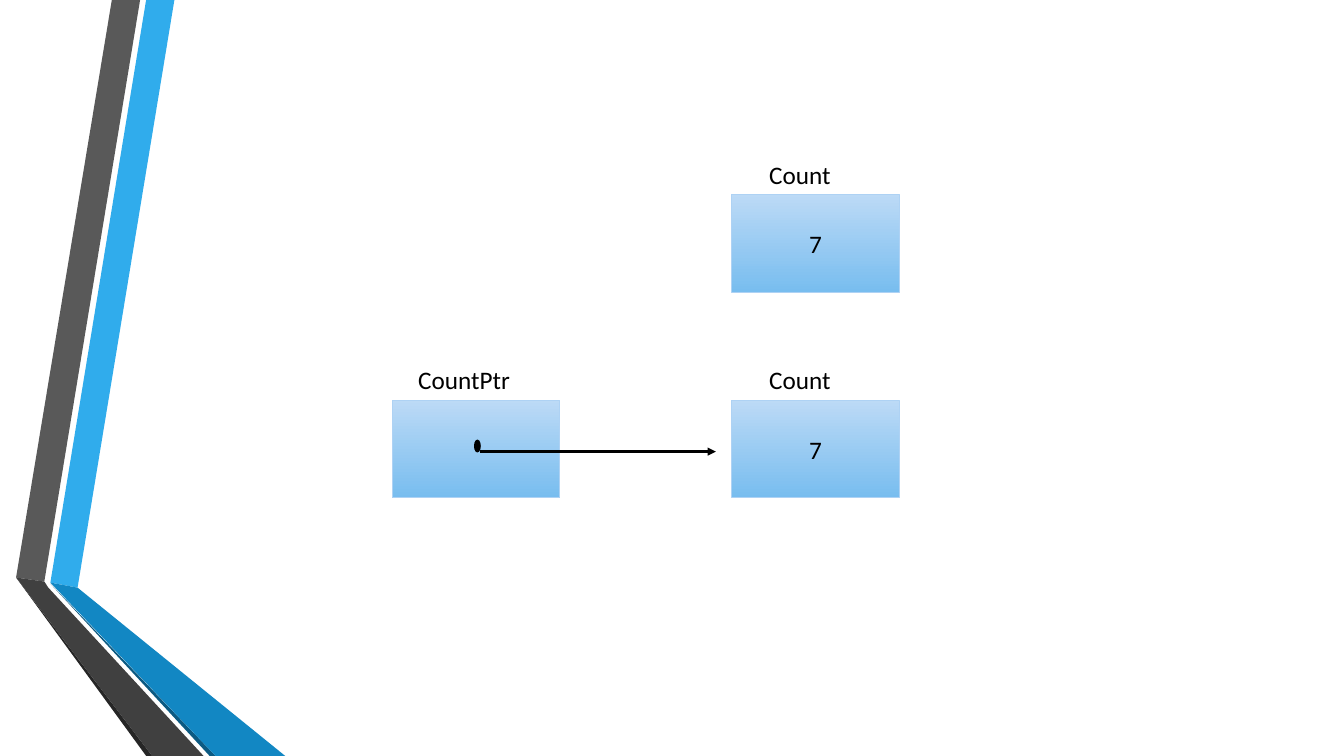
from lxml import etree
from pptx import Presentation
from pptx.dml.color import RGBColor
from pptx.enum.shapes import MSO_CONNECTOR, MSO_SHAPE
from pptx.enum.text import MSO_ANCHOR, MSO_AUTO_SIZE, PP_ALIGN
from pptx.oxml.ns import qn
from pptx.util import Inches, Pt

RECT, OVAL = MSO_SHAPE.RECTANGLE, MSO_SHAPE.OVAL
STRAIGHT = MSO_CONNECTOR.STRAIGHT
MIDDLE = MSO_ANCHOR.MIDDLE
GROW = MSO_AUTO_SIZE.SHAPE_TO_FIT_TEXT
CENTER, LEFT = PP_ALIGN.CENTER, PP_ALIGN.LEFT

BLACK = RGBColor(0x00, 0x00, 0x00)
BOX_TOP = RGBColor(0xBC, 0xDA, 0xF6)
BOX_BOTTOM = RGBColor(0x78, 0xBD, 0xEF)
BOX_LINE = RGBColor(0xAE, 0xD2, 0xF4)
SKY = RGBColor(0x30, 0xAC, 0xEC)
BLUE = RGBColor(0x12, 0x87, 0xC3)
NAVY = RGBColor(0x0C, 0x5A, 0x82)
GRAY = RGBColor(0x59, 0x59, 0x59)
DARK_GRAY = RGBColor(0x40, 0x40, 0x40)
CHARCOAL = RGBColor(0x26, 0x26, 0x26)

RIBBONS = [
    (SKY, [(0.5, 5.78), (0.77, 5.83), (1.73, 0), (1.45, 0)]),
    (GRAY, [(1.39, 0), (1.11, 0), (0.16, 5.73), (0.44, 5.77)]),
    (CHARCOAL, [(0.16, 5.73), (1.45, 7.5), (1.51, 7.5)]),
    (NAVY, [(0.5, 5.79), (2.08, 7.5), (2.14, 7.5)]),
    (BLUE, [(0.5, 5.78), (2.14, 7.5), (2.83, 7.5), (0.77, 5.83)]),
    (DARK_GRAY, [(2.02, 7.5), (0.48, 5.83), (0.44, 5.77), (0.16, 5.73), (1.51, 7.5)]),
]

COUNT_X, POINTER_X = 7.26, 3.89
UPPER_Y, LOWER_Y = 1.93, 3.97
BOX_W, BOX_H = 1.66, 0.97
LABEL_H = 0.4
ARROW_Y = 4.48


class Diagram:
    """Draws memory boxes, labels and pointers on one slide."""

    font, size = "Calibri", Pt(18)

    def __init__(self, slide):
        self.shapes = slide.shapes

    def set_text(self, sp, text, align):
        p = sp.text_frame.paragraphs[0]
        p.text = text
        p.alignment = align
        p.font.name, p.font.size = self.font, self.size
        p.font.color.rgb = BLACK

    def ribbon(self, color, points):
        pts = [(Inches(x), Inches(y)) for x, y in points]
        builder = self.shapes.build_freeform(*pts[0])
        builder.add_line_segments(pts[1:], close=True)
        sp = builder.convert_to_shape()
        sp.shadow.inherit = False
        sp.fill.solid()
        sp.fill.fore_color.rgb = color
        sp.line.fill.background()

    def preset(self, kind, x, y, w, h, line, width):
        sp = self.shapes.add_shape(kind, Inches(x), Inches(y), Inches(w), Inches(h))
        sp.shadow.inherit = False
        sp.line.color.rgb = line
        sp.line.width = Pt(width)
        return sp

    def box(self, x, y, value=""):
        sp = self.preset(RECT, x, y, BOX_W, BOX_H, BOX_LINE, 0.75)
        sp.fill.gradient()
        sp.fill.gradient_angle = 270
        for stop, color in zip(sp.fill.gradient_stops, (BOX_TOP, BOX_BOTTOM)):
            stop.color.rgb = color
        if value:
            sp.text_frame.vertical_anchor = MIDDLE
            self.set_text(sp, value, CENTER)

    def dot(self, x, y, w, h):
        sp = self.preset(OVAL, x, y, w, h, BLACK, 1.25)
        sp.fill.solid()
        sp.fill.fore_color.rgb = BLACK

    def arrow(self, x1, x2, y):
        cx = self.shapes.add_connector(STRAIGHT, Inches(x1), Inches(y), Inches(x2), Inches(y))
        cx.line.color.rgb = BLACK
        cx.line.width = Pt(1.75)
        props = cx.element.spPr
        etree.SubElement(props.find(qn("a:ln")), qn("a:tailEnd"), type="triangle")
        etree.SubElement(props, qn("a:effectLst"))

    def label(self, x, box_y, w, text):
        sp = self.shapes.add_textbox(Inches(x), Inches(box_y - LABEL_H), Inches(w), Inches(LABEL_H))
        sp.text_frame.word_wrap = True
        sp.text_frame.auto_size = GROW
        self.set_text(sp, text, LEFT)


def main():
    prs = Presentation()
    prs.slide_width, prs.slide_height = Inches(13.33), Inches(7.5)
    s = Diagram(prs.slides.add_slide(prs.slide_layouts[6]))
    for color, points in RIBBONS:
        s.ribbon(color, points)
    for y in (UPPER_Y, LOWER_Y):
        s.box(COUNT_X, y, "7")
    s.box(POINTER_X, LOWER_Y)
    s.dot(4.71, 4.37, 0.05, 0.11)
    s.arrow(4.76, 7.1, ARROW_Y)
    for y in (UPPER_Y, LOWER_Y):
        s.label(7.53, y, 1.13, "Count")
    s.label(4.05, LOWER_Y, 1.3, "CountPtr")
    prs.save("out.pptx")


if __name__ == "__main__":
    main()
